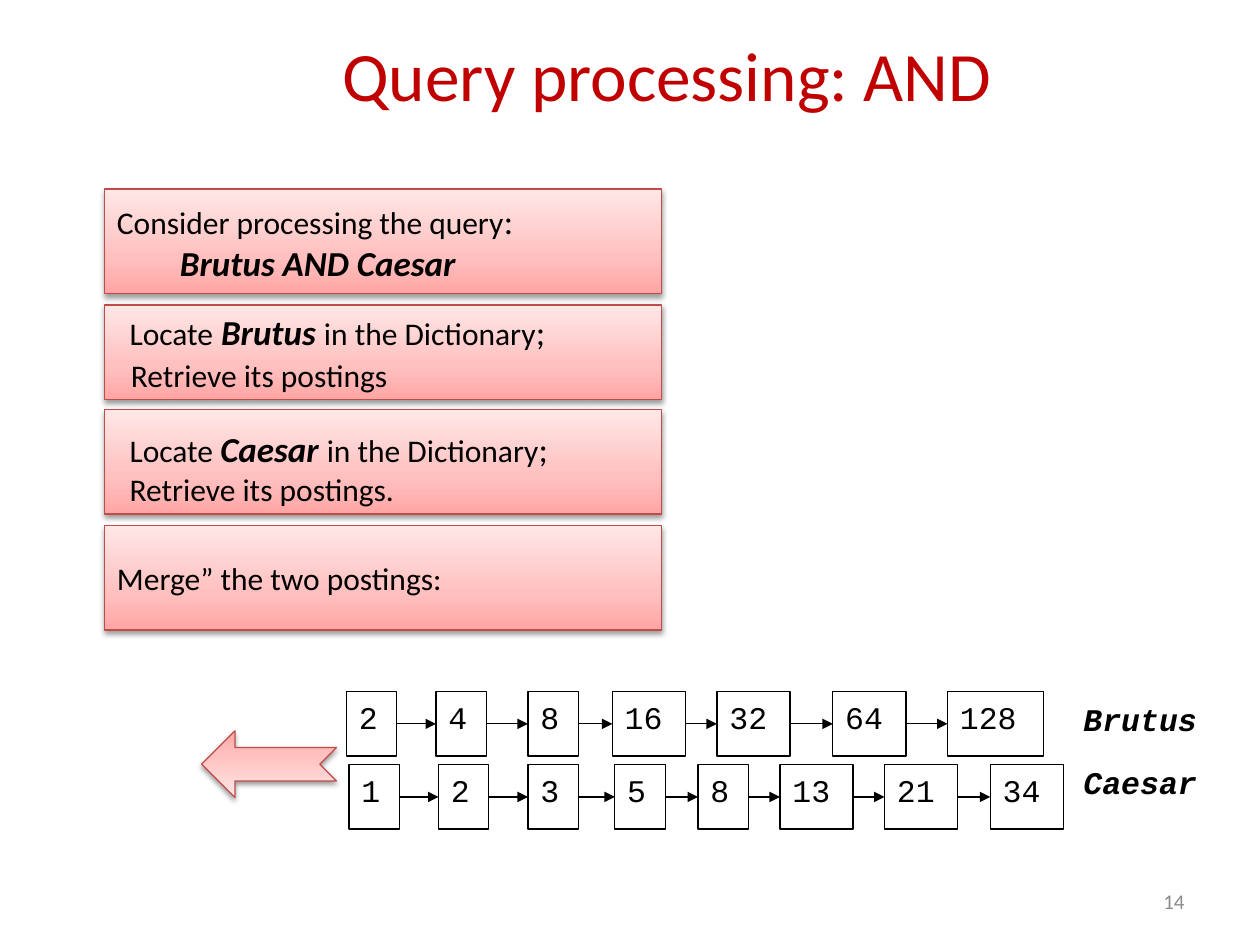
from dataclasses import dataclass
from typing import NamedTuple

from lxml.etree import SubElement
from pptx import Presentation
from pptx.dml.color import RGBColor
from pptx.enum.shapes import MSO_CONNECTOR as Conn, MSO_SHAPE as Shape
from pptx.enum.text import MSO_ANCHOR as Anchor, PP_ALIGN as Align
from pptx.oxml import parse_xml
from pptx.oxml.ns import nsdecls, qn
from pptx.util import Inches, Pt

BLACK = RGBColor(0, 0, 0)
RED = RGBColor(0xC0, 0, 0)
GREY = RGBColor(0x8C, 0x8C, 0x8C)
EDGE = RGBColor(0xBF, 0x4C, 0x48)
PINKS = [(0, RGBColor(0xFF, 0xA6, 0xA5)),
         (35, RGBColor(0xFF, 0xC0, 0xBF)),
         (100, RGBColor(0xFF, 0xE7, 0xE7))]
SANS, MONO = "Calibri", "Courier New"
NODE_H = 0.51


class Run(NamedTuple):
    text: str
    size: float = 18
    strong: bool = False


class Line(NamedTuple):
    runs: list[Run]
    indent: float = 0
    before: float = 0


@dataclass
class Step:
    top: float
    height: float
    lines: list[Line]
    inset: float = 0.05


@dataclass
class Chain:
    """A postings list: its name, and each number with its left edge."""
    name: str
    top: float
    label_top: float
    nodes: list[tuple[int, float]]


@dataclass
class Label:
    text: str
    at: tuple[float, float, float, float]
    size: float
    color: RGBColor = BLACK
    face: str = SANS
    align: Align = Align.LEFT
    anchor: Anchor = Anchor.MIDDLE
    strong: bool = False


STEPS = [
    Step(1.5, 0.83, [
        Line([Run("Consider processing the query"), Run(":", 20)]),
        Line([Run("Brutus AND Caesar", 20, True)], 0.5)]),
    Step(2.42, 0.75, [
        Line([Run("Locate"), Run(" ", 20), Run("Brutus ", 20, True),
              Run("in the Dictionary"), Run(";", 20)], 0.1),
        Line([Run("Retrieve its postings")], 0.11, 2.4)]),
    Step(3.25, 0.83, [
        Line([Run("Locate "), Run("Caesar ", 20, True),
              Run("in the Dictionary"), Run(";", 20)], 0.1),
        Line([Run("Retrieve its postings.")], 0.1)], 0.14),
    Step(4.17, 0.83, [Line([Run("Merge” the two postings:")])]),
]
CHAINS = [
    Chain("Brutus", 5.49, 5.51, [
        (2, 2.75), (4, 3.46), (8, 4.19), (16, 4.86),
        (32, 5.69), (64, 6.61), (128, 7.52)]),
    Chain("Caesar", 6.07, 6.01, [
        (1, 2.77), (2, 3.48), (3, 4.19), (5, 4.88),
        (8, 5.54), (13, 6.19), (21, 7.02), (34, 7.86)]),
]


def write(shape, label: Label) -> None:
    frame = shape.text_frame
    frame.word_wrap = True
    frame.vertical_anchor = label.anchor
    para = frame.paragraphs[0]
    para.text = label.text
    para.alignment = label.align
    font = para.font
    font.name, font.size = label.face, Pt(label.size)
    font.color.rgb = label.color
    font.bold = font.italic = label.strong


def add_label(slide, label: Label) -> None:
    write(slide.shapes.add_textbox(*map(Inches, label.at)), label)


def style_pink(shape) -> None:
    """Give a shape the pink gradient, red edge and soft shadow."""
    stops = "".join(
        f'<a:gs pos="{pos * 1000}"><a:srgbClr val="{color}"/></a:gs>'
        for pos, color in PINKS)
    props = shape._element.spPr
    props.append(parse_xml(
        f'<a:gradFill {nsdecls("a")} rotWithShape="1"><a:gsLst>{stops}'
        '</a:gsLst><a:lin ang="16200000" scaled="0"/></a:gradFill>'))
    shape.line.color.rgb = EDGE
    shape.line.width = Pt(0.75)
    shape.shadow.inherit = False
    props.find(qn("a:effectLst")).append(parse_xml(
        f'<a:outerShdw {nsdecls("a")} blurRad="{Pt(3.1)}" dist="{Pt(1.6)}" '
        'dir="5400000" rotWithShape="0"><a:srgbClr val="000000">'
        '<a:alpha val="38000"/></a:srgbClr></a:outerShdw>'))


def add_step(slide, step: Step) -> None:
    box = slide.shapes.add_shape(
        Shape.RECTANGLE, Inches(0.83), Inches(step.top),
        Inches(4.42), Inches(step.height))
    style_pink(box)
    frame = box.text_frame
    frame.word_wrap = True
    frame.vertical_anchor = Anchor.MIDDLE
    frame.margin_top = Inches(step.inset)
    for i, line in enumerate(step.lines):
        para = frame.add_paragraph() if i else frame.paragraphs[0]
        para.alignment = Align.LEFT
        para.space_before = Pt(line.before)
        para._p.get_or_add_pPr().set("marL", str(Inches(line.indent)))
        para.font.name = SANS
        para.font.color.rgb = BLACK
        for part in line.runs:
            run = para.add_run()
            run.text = part.text
            run.font.size = Pt(part.size)
            run.font.bold = run.font.italic = part.strong


def add_link(slide, start: float, end: float, y: float) -> None:
    link = slide.shapes.add_connector(
        Conn.STRAIGHT, Inches(start), Inches(y), Inches(end), Inches(y))
    link.line.color.rgb = BLACK
    link.line.width = Pt(0.75)
    SubElement(link.line._get_or_add_ln(), qn("a:tailEnd"), type="triangle")
    SubElement(link._element.spPr, qn("a:effectLst"))


def add_chain(slide, chain: Chain) -> None:
    end = None
    for value, left in chain.nodes:
        width = 0.22 + 0.18 * len(str(value))
        if end is not None:
            add_link(slide, end, left, chain.top + NODE_H / 2)
        node = slide.shapes.add_shape(
            Shape.RECTANGLE, Inches(left), Inches(chain.top),
            Inches(width), Inches(NODE_H))
        node.fill.background()
        node.line.color.rgb = BLACK
        node.line.width = Pt(0.75)
        node.shadow.inherit = False
        write(node, Label(str(value), (), 18, face=MONO, anchor=Anchor.TOP))
        end = left + width
    add_label(slide, Label(chain.name, (8.5, chain.label_top, 1.28, 0.5), 18,
                           face=MONO, anchor=Anchor.TOP, strong=True))


def add_arrow(slide) -> None:
    arrow = slide.shapes.add_shape(
        Shape.NOTCHED_RIGHT_ARROW, Inches(1.6), Inches(5.8),
        Inches(1.07), Inches(0.53))
    arrow.rotation = 180
    style_pink(arrow)


def main() -> None:
    deck = Presentation()
    deck.slide_width, deck.slide_height = Inches(10), Inches(7.5)
    slide = deck.slides.add_slide(deck.slide_layouts[6])
    add_label(slide, Label("Query processing: AND", (1.92, 0.25, 6.75, 0.67),
                           39.6, RED, align=Align.CENTER))
    add_label(slide, Label("14", (7.17, 6.95, 2.33, 0.4), 12, GREY,
                           align=Align.RIGHT))
    for chain in CHAINS:
        add_chain(slide, chain)
    add_arrow(slide)
    for step in STEPS:
        add_step(slide, step)
    deck.save("out.pptx")


if __name__ == "__main__":
    main()
